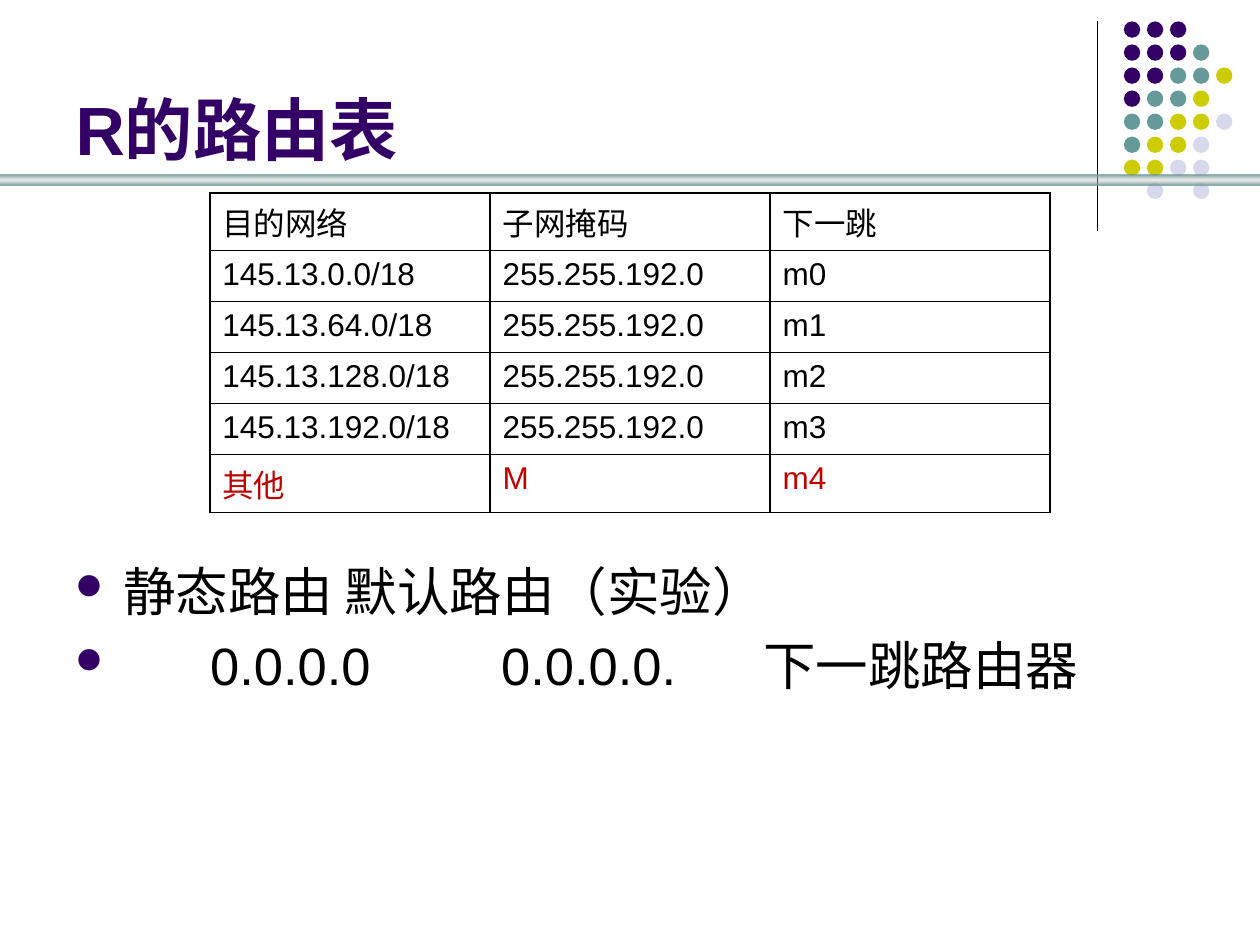
from lxml.etree import SubElement
from pptx import Presentation
from pptx.dml.color import RGBColor
from pptx.enum.shapes import MSO_CONNECTOR, MSO_SHAPE
from pptx.enum.text import MSO_ANCHOR, MSO_AUTO_SIZE, PP_ALIGN
from pptx.oxml import parse_xml
from pptx.oxml.ns import nsdecls, qn
from pptx.util import Inches, Pt


def rgb(color):
    return RGBColor.from_string(color)


def style(p, size, color, bold=False):
    for r in p.runs:
        r.font.name = "Arial"
        r.font.size = Pt(size)
        r.font.bold = bold
        r.font.color.rgb = rgb(color)


prs = Presentation()
prs.slide_width, prs.slide_height = Inches(10), Inches(7.5)
s = prs.slides.add_slide(prs.slide_layouts[5])

# Vertical rule
rule = s.shapes.add_connector(MSO_CONNECTOR.STRAIGHT, Inches(8.71), Inches(0.17),
                              Inches(8.71), Inches(1.83))
rule.line.color.rgb = rgb("000000")
rule.line.width = Pt(0.75)
SubElement(rule._element.spPr, qn("a:effectLst"))

# Dot pattern: one letter per dot colour
dot_colors = {"P": "330066", "T": "669999", "Y": "CCCC00", "L": "D8D8EC"}
dot_rows = ["PPP", "PPPT", "PPTTY", "PTTY", "TTYYL", "TYYL", "YYLL", " L L"]
pitch = 1.28 / 7
for row, letters in enumerate(dot_rows):
    for col, letter in enumerate(letters):
        if letter == " ":
            continue
        dot = s.shapes.add_shape(MSO_SHAPE.OVAL, Inches(8.92 + col * pitch),
                                 Inches(0.17 + row * pitch), Inches(0.13), Inches(0.13))
        dot.shadow.inherit = False
        dot.fill.solid()
        dot.fill.fore_color.rgb = rgb(dot_colors[letter])
        dot.line.fill.background()

# Gradient bar under the title
bar = s.shapes.add_shape(MSO_SHAPE.RECTANGLE, 0, Inches(1.39), Inches(10), Inches(0.08))
bar.shadow.inherit = False
bar.line.fill.background()
bar._element.spPr.find(qn("a:prstGeom")).addnext(parse_xml(
    f'<a:gradFill {nsdecls("a")}><a:gsLst>'
    '<a:gs pos="0"><a:srgbClr val="669999"/></a:gs>'
    '<a:gs pos="50000"><a:srgbClr val="C0C0C0"><a:alpha val="31000"/></a:srgbClr></a:gs>'
    '<a:gs pos="100000"><a:srgbClr val="669999"/></a:gs>'
    '</a:gsLst><a:lin ang="5400000" scaled="0"/></a:gradFill>'))

# Title
title = s.shapes.title
title.left, title.top = Inches(0.5), Inches(0.13)
title.width, title.height = Inches(8.25), Inches(1.26)
tf = title.text_frame
tf.text = "R的路由表"
tf.auto_size = MSO_AUTO_SIZE.NONE
tf.vertical_anchor = MSO_ANCHOR.BOTTOM
tf.paragraphs[0].alignment = PP_ALIGN.LEFT
style(tf.paragraphs[0], 39, "330066", bold=True)

# Bulleted notes, with tab stops under the table columns
box = s.shapes.add_textbox(Inches(0.5), Inches(4.39), Inches(9), Inches(2.32))
tf = box.text_frame
tf.word_wrap = True
notes = ["静态路由 默认路由（实验）", "\t0.0.0.0\t0.0.0.0.\t下一跳路由器"]
for i, note in enumerate(notes):
    p = tf.paragraphs[0] if i == 0 else tf.add_paragraph()
    p.text = note
    p.space_before = Pt(6)
    style(p, 30, "000000")
    pPr = p._p.get_or_add_pPr()
    pPr.set("marL", str(Inches(0.38)))
    pPr.set("indent", str(Inches(-0.38)))
    color = SubElement(pPr, qn("a:buClr"))
    SubElement(color, qn("a:srgbClr"), val="330066")
    SubElement(pPr, qn("a:buSzPct"), val="70000")
    # "l" is the round bullet in Wingdings
    SubElement(pPr, qn("a:buFont"), typeface="Wingdings", charset="2")
    SubElement(pPr, qn("a:buChar"), char="l")
    if "\t" in note:
        tabs = SubElement(pPr, qn("a:tabLst"))
        for stop in (1.07, 3.38, 5.46):
            SubElement(tabs, qn("a:tab"), pos=str(Inches(stop)), algn="l")

# Routing table, with taller first and last rows
mask = "255.255.192.0"
routes = [("目的网络", "子网掩码", "下一跳")]
routes += [(f"145.13.{64 * i}.0/18", mask, f"m{i}") for i in range(4)]
routes += [("其他", "M", "m4")]
last = len(routes) - 1
width = 6.67
table = s.shapes.add_table(len(routes), 3, Inches((10 - width) / 2), Inches(1.53),
                           Inches(width), Inches(2.43)).table
for i, route in enumerate(routes):
    if i in (0, last):
        table.rows[i].height = Inches(0.46)
    for j, text in enumerate(route):
        cell = table.cell(i, j)
        cell.text = text
        style(cell.text_frame.paragraphs[0], 18, "C00000" if i == last else "000000")
        tcPr = cell._tc.get_or_add_tcPr()
        for side in ("lnL", "lnR", "lnT", "lnB"):
            ln = SubElement(tcPr, qn(f"a:{side}"), w=str(Pt(1)))
            SubElement(SubElement(ln, qn("a:solidFill")), qn("a:srgbClr"), val="000000")
        cell.fill.background()

prs.save("out.pptx")
